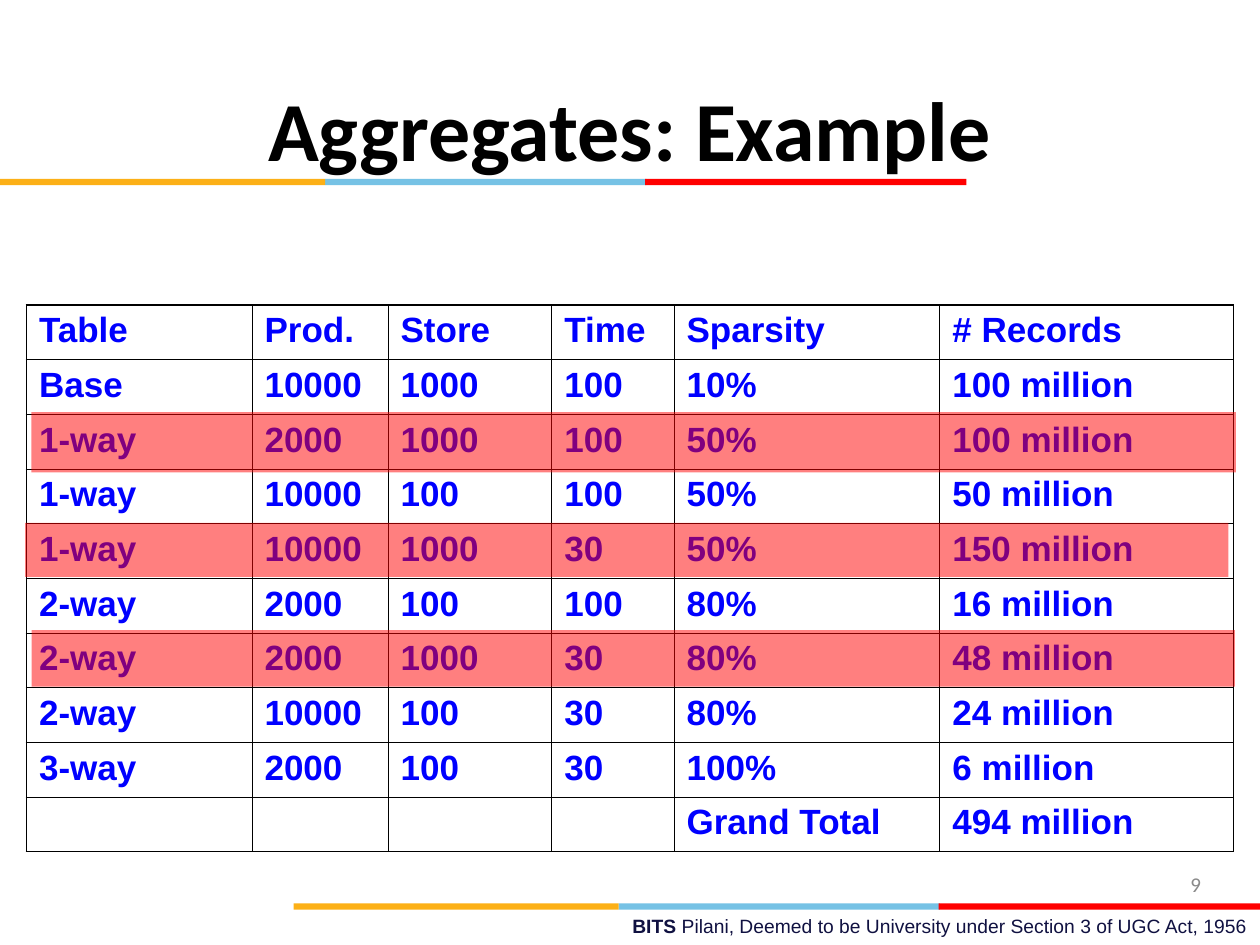
from lxml import etree
from pptx import Presentation
from pptx.dml.color import RGBColor
from pptx.enum import shapes, text
from pptx.oxml import ns
from pptx.util import Inches, Pt

BLACK = RGBColor(0x00, 0x00, 0x00)
NAVY = RGBColor(0x10, 0x11, 0x41)
GREY = RGBColor(0x89, 0x89, 0x89)
BLUE = RGBColor(0x00, 0x00, 0xFF)
RED = RGBColor(0xFF, 0x00, 0x00)
AMBER = RGBColor(0xFC, 0xB0, 0x17)
SKY = RGBColor(0x76, 0xC2, 0xE5)

THIN, THICK = 0.45, 1.08
ROW_HEIGHT = 4.33 / 10
COL_WIDTHS = [1.79, 1.08, 1.3, 0.97, 2.11, 2.33]
ROWS = [
    ["Table", "Prod.", "Store", "Time", "Sparsity", "# Records"],
    ["Base", "10000", "1000", "100", "10%", "100 million"],
    ["1-way", "2000", "1000", "100", "50%", "100 million"],
    ["1-way", "10000", "100", "100", "50%", "50 million"],
    ["1-way", "10000", "1000", "30", "50%", "150 million"],
    ["2-way", "2000", "100", "100", "80%", "16 million"],
    ["2-way", "2000", "1000", "30", "80%", "48 million"],
    ["2-way", "10000", "100", "30", "80%", "24 million"],
    ["3-way", "2000", "100", "30", "100%", "6 million"],
    ["", "", "", "", "Grand Total", "494 million"],
]
HIGHLIGHTS = [(0.25, 3.27, 9.56, 0.48), (0.2, 4.15, 9.55, 0.43), (0.25, 5, 9.55, 0.45)]


def add_run(p, content, size=20, font="Arial", color=BLACK, bold=False):
    r = p.add_run()
    r.text = content
    r.font.size = Pt(size)
    r.font.name = font
    r.font.color.rgb = color
    r.font.bold = bold


def add_text(slide, box, parts, align=text.PP_ALIGN.RIGHT,
             anchor=text.MSO_ANCHOR.MIDDLE, **style):
    """Add a one-paragraph text box; parts is a list of (text, bold) pairs."""
    tf = slide.shapes.add_textbox(*map(Inches, box)).text_frame
    tf.word_wrap = True
    tf.vertical_anchor = anchor
    p = tf.paragraphs[0]
    p.alignment = align
    for content, bold in parts:
        add_run(p, content, bold=bold, **style)


def add_rect(parent, box, color, alpha=None):
    """Add a plain rectangle; alpha is its opacity in percent."""
    sp = parent.shapes.add_shape(shapes.MSO_SHAPE.RECTANGLE, *map(Inches, box))
    sp.shadow.inherit = False
    sp.fill.solid()
    sp.fill.fore_color.rgb = color
    sp.line.fill.background()
    if alpha is not None:
        clr = sp.fill._xPr.find(".//" + ns.qn("a:srgbClr"))
        etree.SubElement(clr, ns.qn("a:alpha"), val=str(alpha * 1000))


def add_stripe(slide, left, top):
    group = slide.shapes.add_group_shape()
    for offset, width, color in [(2.58, 2.55, SKY), (0, 2.58, AMBER), (5.12, 2.55, RED)]:
        add_rect(group, (left + offset, top, width, 0.05), color)


def set_borders(cell, widths):
    """Draw black borders; widths are points for left, right, top, bottom."""
    tc_pr = cell._tc.get_or_add_tcPr()
    for side, width in zip("LRTB", widths):
        ln = etree.SubElement(tc_pr, ns.qn("a:ln" + side), w=str(Pt(width)))
        fill = etree.SubElement(ln, ns.qn("a:solidFill"))
        etree.SubElement(fill, ns.qn("a:srgbClr"), val=str(BLACK))


def add_aggregate_table(slide):
    n_rows, n_cols = len(ROWS), len(COL_WIDTHS)
    table = slide.shapes.add_table(
        n_rows, n_cols, Inches(0.21), Inches(2.42),
        Inches(sum(COL_WIDTHS)), Inches(ROW_HEIGHT * n_rows)).table
    table.first_row = table.horz_banding = False
    for column, width in zip(table.columns, COL_WIDTHS):
        column.width = Inches(width)
    for i, row in enumerate(ROWS):
        table.rows[i].height = Inches(ROW_HEIGHT)
        for j, content in enumerate(row):
            cell = table.cell(i, j)
            outer = (j == 0, j == n_cols - 1, i == 0, i == n_rows - 1)
            set_borders(cell, [THICK if edge else THIN for edge in outer])
            cell.fill.background()
            if content:
                add_run(cell.text_frame.paragraphs[0], content, color=BLUE, bold=True)


def main():
    prs = Presentation()
    prs.slide_width, prs.slide_height = Inches(10), Inches(7.5)
    slide = prs.slides.add_slide(prs.slide_layouts[6])
    add_text(slide, (3.58, 7.21, 6.42, 0.29),
             [("BITS ", True),
              ("Pilani, Deemed to be University under Section 3 of UGC Act, 1956", False)],
             anchor=text.MSO_ANCHOR.TOP, size=11, color=NAVY)
    add_stripe(slide, 2.33, 7.17)
    add_stripe(slide, 0, 1.42)
    add_text(slide, (0.5, 0.39, 9, 1.25), [("Aggregates: Example", True)],
             align=text.PP_ALIGN.CENTER, size=48, font="Calibri")
    add_text(slide, (7.3, 6.82, 2.33, 0.4), [("9", False)],
             size=12, font="Calibri", color=GREY)
    add_aggregate_table(slide)
    for box in HIGHLIGHTS:
        add_rect(slide, box, RED, alpha=50)
    prs.save("out.pptx")


if __name__ == "__main__":
    main()
